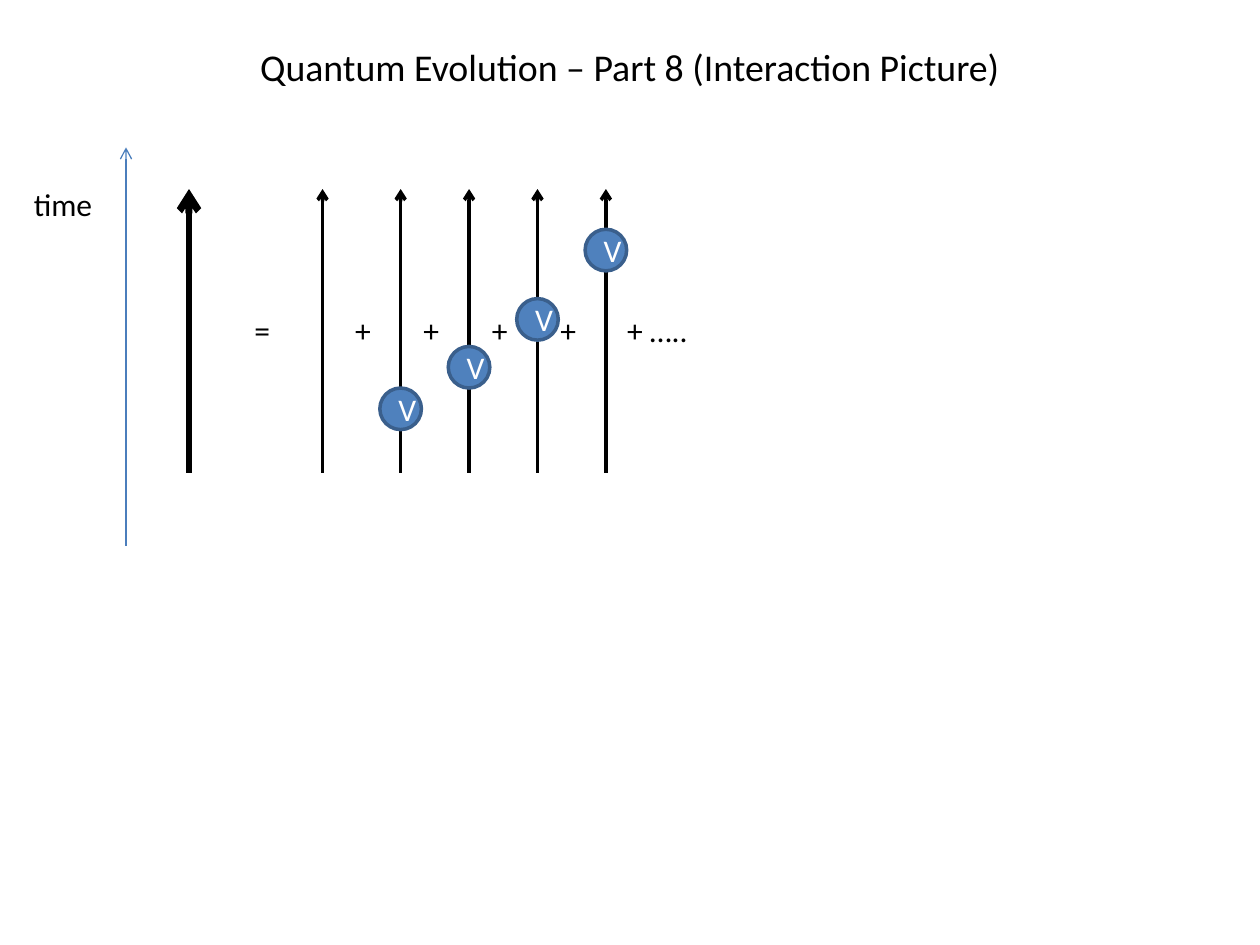
import dataclasses

import pptx
import pptx.dml.color
import pptx.enum.shapes
import pptx.enum.text
import pptx.oxml.ns
import pptx.util
from lxml import etree
from pptx.util import Inches


@dataclasses.dataclass(frozen=True)
class Theme:
    """Colours, type sizes and line widths."""
    font: str = "Calibri"
    title_size: float = 21.6
    body_size: float = 18
    ink: str = "000000"
    axis: str = "4B7EBC"
    vertex_fill: str = "4F81BD"
    vertex_line: str = "3A5F8C"
    vertex_text: str = "FFFFFF"
    axis_width: float = 0.75
    full_width: float = 4
    term_width: float = 2


THEME = Theme()


def rgb(value):
    """Return a colour from its hex string."""
    return pptx.dml.color.RGBColor.from_string(value)


def write(tf, text, size=THEME.body_size, color=THEME.ink, align=None):
    """Put one styled run in the first paragraph."""
    p = tf.paragraphs[0]
    p.alignment = align
    r = p.add_run()
    r.text = text
    r.font.name = THEME.font
    r.font.size = pptx.util.Pt(size)
    r.font.color.rgb = rgb(color)


def add_label(s, text, left, top, width):
    """Add an unwrapped text label."""
    tf = s.shapes.add_textbox(Inches(left), Inches(top), Inches(width), Inches(0.4)).text_frame
    tf.word_wrap = False
    tf.auto_size = pptx.enum.text.MSO_AUTO_SIZE.SHAPE_TO_FIT_TEXT
    write(tf, text)


def add_up_arrow(s, x, top, height, width, color=THEME.ink):
    """Draw a vertical arrow pointing up."""
    line = s.shapes.add_connector(
        pptx.enum.shapes.MSO_CONNECTOR.STRAIGHT,
        Inches(x), Inches(top + height), Inches(x), Inches(top))
    line.line.color.rgb = rgb(color)
    line.line.width = pptx.util.Pt(width)
    etree.SubElement(line.line._get_or_add_ln(), pptx.oxml.ns.qn("a:tailEnd"), type="arrow")
    etree.SubElement(line._element.spPr, pptx.oxml.ns.qn("a:effectLst"))


def add_vertex(s, x, top, size=0.33):
    """Draw an interaction vertex centred on a propagator."""
    sp = s.shapes.add_shape(
        pptx.enum.shapes.MSO_SHAPE.OVAL,
        Inches(x - size / 2), Inches(top), Inches(size), Inches(size))
    sp.shadow.inherit = False
    sp.fill.solid()
    sp.fill.fore_color.rgb = rgb(THEME.vertex_fill)
    sp.line.color.rgb = rgb(THEME.vertex_line)
    sp.line.width = pptx.util.Pt(THEME.term_width)
    sp.text_frame.vertical_anchor = pptx.enum.text.MSO_ANCHOR.MIDDLE
    write(sp.text_frame, "V", color=THEME.vertex_text, align=pptx.enum.text.PP_ALIGN.CENTER)


def add_title(s, left, top, width, height):
    """Place and fill the title placeholder."""
    sp = s.shapes.title
    sp.left, sp.top, sp.width, sp.height = map(Inches, (left, top, width, height))
    sp.text_frame.vertical_anchor = pptx.enum.text.MSO_ANCHOR.MIDDLE
    write(sp.text_frame, "Quantum Evolution – Part 8 (Interaction Picture)",
          THEME.title_size, align=pptx.enum.text.PP_ALIGN.CENTER)


def add_time_axis(s, left, top, width, height):
    """Draw the time axis at the right edge of its box."""
    add_up_arrow(s, left + width, top, height, THEME.axis_width, THEME.axis)
    add_label(s, "time", left, top + 0.25, 0.67)


def add_expansion(s, left, top, height):
    """Draw the full propagator and its series of interaction terms."""
    label_top, step = top + 0.92, 0.543
    free_x, first_x = left + 1.06, left + 1.68
    add_up_arrow(s, left, top, height, THEME.full_width)
    add_label(s, "=", left + 0.42, label_top, 0.33)
    add_up_arrow(s, free_x, top, height, THEME.term_width)
    vertices = []
    for i, drop in enumerate((1.58, 1.25, 0.87, 0.32)):
        x = first_x + i * step
        add_label(s, "+", x - 0.46, label_top, 0.33)
        add_up_arrow(s, x, top, height, THEME.term_width)
        vertices.append((x, top + drop))
    add_label(s, "+ …..", x + 0.07, label_top, 0.69)
    for x, vertex_top in vertices:
        add_vertex(s, x, vertex_top)


def main():
    """Build and save the slide."""
    prs = pptx.Presentation()
    prs.slide_width, prs.slide_height = Inches(10), Inches(7.5)
    s = prs.slides.add_slide(prs.slide_layouts.get_by_name("Title Only"))
    add_title(s, 0.5, 0.3, 9, 0.45)
    add_time_axis(s, 0.17, 1.17, 0.83, 3.16)
    add_expansion(s, 1.5, 1.5, 2.25)
    prs.save("out.pptx")


if __name__ == "__main__":
    main()
